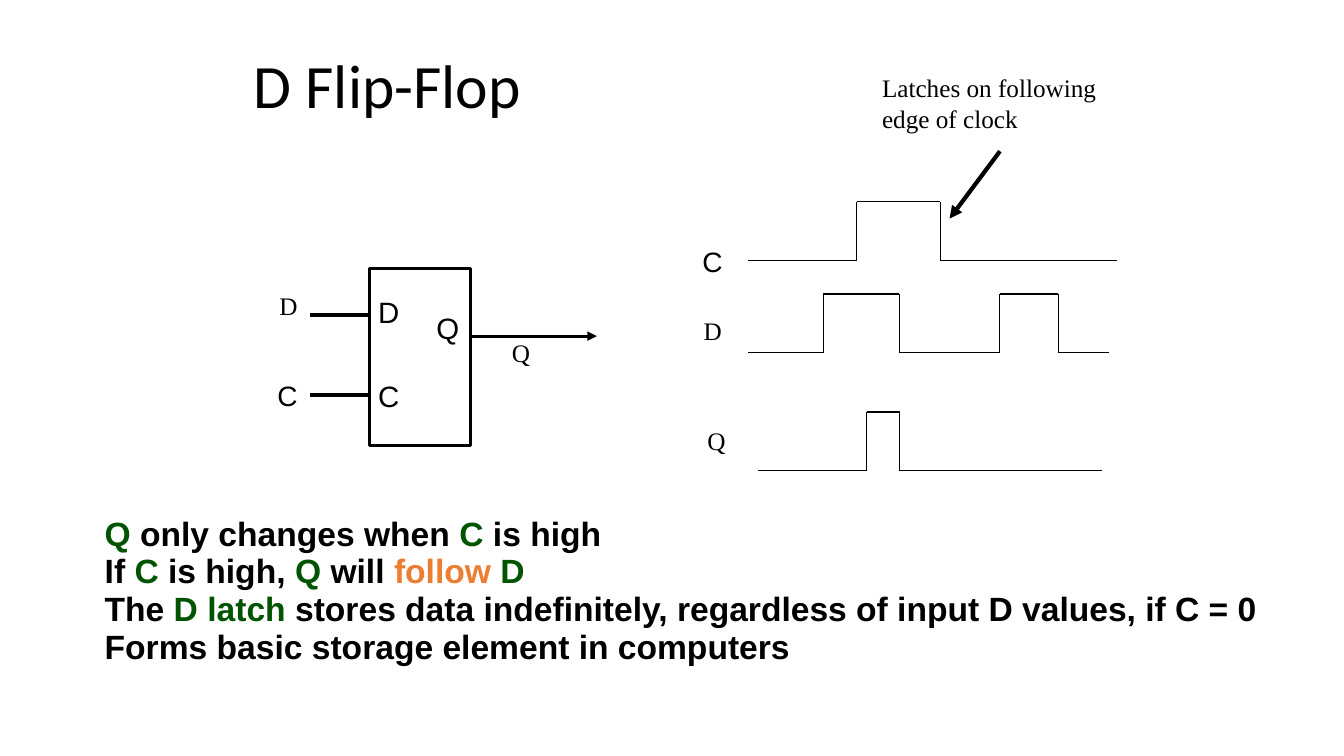
from itertools import pairwise

from lxml import etree
from pptx import Presentation
from pptx import util as u
from pptx.dml.color import RGBColor
from pptx.enum import shapes, text
from pptx.oxml import ns

BLACK = RGBColor(0x00, 0x00, 0x00)
GREEN = RGBColor(0x00, 0x54, 0x00)
ORANGE = RGBColor(0xED, 0x7D, 0x31)
SANS, SERIF, HEADING = "Arial", "Times New Roman", "Calibri"
PULSE_HEIGHT = 1.48

# Left, top, size, font, text
LABELS = [
    (6.99, 9.53, 20, SANS, "C"),
    (7.04, 7.32, 18, SERIF, "D"),
    (9.53, 7.42, 21, SANS, "D"),
    (9.53, 9.53, 21, SANS, "C"),
    (11.0, 7.82, 21, SANS, "Q"),
    (12.9, 8.51, 18, SERIF, "Q"),
    (17.7, 6.15, 20, SANS, "C"),
    (17.73, 7.95, 18, SERIF, "D"),
    (17.83, 10.72, 18, SERIF, "Q"),
]

# Low level, line width after the first edge, x of start, edges and end
WAVEFORMS = [
    (6.56, 0.75, [18.85, 21.59, 23.7, 28.14]),
    (8.89, 1, [18.85, 20.75, 22.66, 25.2, 26.67, 27.94]),
    (11.86, 1, [19.1, 21.84, 22.68, 27.76]),
]

NOTES = [
    [("Q", GREEN), (" only changes when ", BLACK), ("C", GREEN),
     (" is high", BLACK)],
    [("If ", BLACK), ("C", GREEN), (" is high, ", BLACK), ("Q", GREEN),
     (" will ", BLACK), ("follow ", ORANGE), ("D", GREEN)],
    [("The", BLACK), (" D latch ", GREEN),
     ("stores data indefinitely, regardless of input D values, if C = 0",
      BLACK)],
    [("Forms basic storage element in computers", BLACK)],
]


def add_text_frame(slide, left, top, width, height):
    box = slide.shapes.add_textbox(u.Cm(left), u.Cm(top),
                                   u.Cm(width), u.Cm(height))
    frame = box.text_frame
    frame.word_wrap = True
    frame.margin_left = frame.margin_right = 0
    frame.margin_top = frame.margin_bottom = 0
    return frame


def add_label(slide, left, top, size, font, content, width=0.8, height=0.9):
    frame = add_text_frame(slide, left, top, width, height)
    frame.text = content
    for paragraph in frame.paragraphs:
        paragraph.font.size = u.Pt(size)
        paragraph.font.name = font
        paragraph.font.color.rgb = BLACK
    return frame


def add_line(slide, start, end, width, arrow=False):
    line = slide.shapes.add_connector(
        shapes.MSO_CONNECTOR.STRAIGHT,
        *(u.Cm(value) for value in (*start, *end)))
    line.line.color.rgb = BLACK
    line.line.width = u.Pt(width)
    if arrow:
        etree.SubElement(line.line._get_or_add_ln(), ns.qn("a:tailEnd"),
                         type="triangle")
    etree.SubElement(line._element.spPr, ns.qn("a:effectLst"))


def add_waveform(slide, low, later_width, stops):
    for index, (left, right) in enumerate(pairwise(stops)):
        level = low - PULSE_HEIGHT * (index % 2)
        width = later_width if index else 0.75
        add_line(slide, (left, level), (right, level), width)
    for edge in stops[1:-1]:
        add_line(slide, (edge, low), (edge, low - PULSE_HEIGHT), 0.75)


def add_latch(slide):
    body = slide.shapes.add_shape(shapes.MSO_SHAPE.RECTANGLE, u.Cm(9.32),
                                  u.Cm(6.77), u.Cm(2.54), u.Cm(4.45))
    body.shadow.inherit = False
    body.fill.background()
    body.line.color.rgb = BLACK
    body.line.width = u.Pt(2.25)
    add_line(slide, (9.32, 7.94), (7.8, 7.94), 3)
    add_line(slide, (9.35, 9.96), (7.82, 9.96), 3)
    add_line(slide, (11.86, 8.47), (15.04, 8.47), 2.25, arrow=True)


def add_notes_text(slide):
    frame = add_text_frame(slide, 2.64, 13.03, 29.4, 2.92)
    for index, parts in enumerate(NOTES):
        paragraph = frame.add_paragraph() if index else frame.paragraphs[0]
        paragraph.line_spacing = 0.9
        paragraph.space_before = u.Pt(1)
        paragraph.font.size = u.Pt(24)
        paragraph.font.name = SANS
        paragraph.font.bold = True
        for content, color in parts:
            run = paragraph.add_run()
            run.text = content
            run.font.color.rgb = color


def main():
    presentation = Presentation()
    presentation.slide_width = u.Cm(33.87)
    presentation.slide_height = u.Cm(19.05)
    slide = presentation.slides.add_slide(presentation.slide_layouts[6])

    # Title
    title = add_label(slide, 6.4, 0.64, 44, HEADING, "D Flip-Flop", 21, 3.18)
    title.vertical_anchor = text.MSO_ANCHOR.MIDDLE
    title.paragraphs[0].line_spacing = 0.9

    # Latch symbol with its wires
    add_latch(slide)

    # Timing diagram
    for waveform in WAVEFORMS:
        add_waveform(slide, *waveform)
    add_label(slide, 22.23, 1.83, 18, SERIF,
              "Latches on following\nedge of clock", 6.5, 1.6)
    add_line(slide, (25.2, 3.81), (23.93, 5.51), 3, arrow=True)

    # Signal names
    for label in LABELS:
        add_label(slide, *label)

    # Explanation
    add_notes_text(slide)

    presentation.save("out.pptx")


if __name__ == "__main__":
    main()
